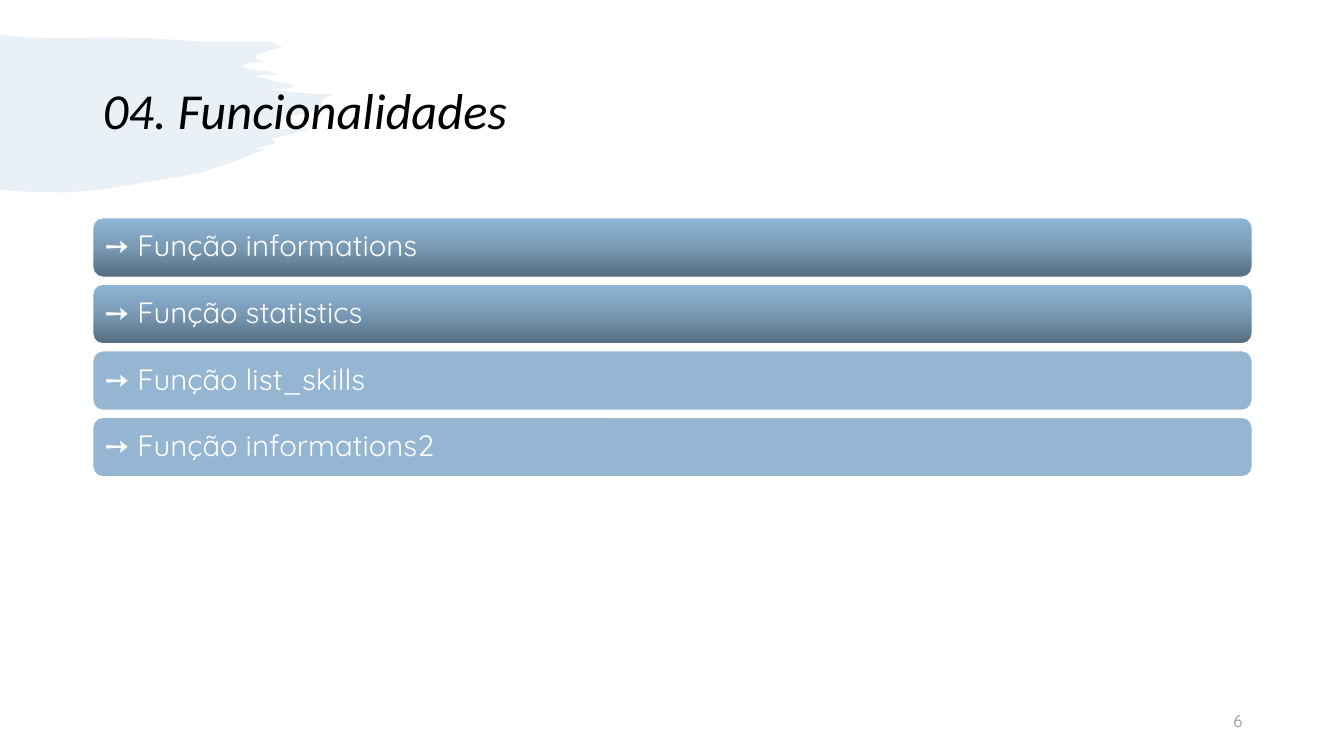
from copy import deepcopy
from dataclasses import dataclass

from lxml.etree import SubElement
from pptx import Presentation
from pptx.dml.color import RGBColor
from pptx.enum.shapes import MSO_SHAPE
from pptx.enum.text import MSO_ANCHOR, PP_ALIGN
from pptx.oxml.ns import qn
from pptx.util import Pt

PX = 9144

BRUSH = [
    (0, 34), (6, 35), (25, 37), (66, 38), (102, 37), (151, 38), (194, 41),
    (248, 41), (266, 41), (280, 47), (271, 49), (255, 54), (253, 57),
    (256, 59), (262, 62), (248, 62), (238, 66), (246, 68), (256, 70),
    (266, 71), (275, 74), (251, 75), (263, 78), (273, 81), (280, 82),
    (288, 83), (290, 85), (287, 88), (284, 88), (263, 88), (295, 92),
    (330, 94), (321, 97), (318, 106), (307, 111), (300, 113), (283, 116),
    (280, 120), (278, 125), (274, 128), (308, 128), (269, 138), (273, 142),
    (252, 148), (263, 148), (233, 160), (197, 172), (102, 188), (65, 191),
    (23, 190), (7, 189), (0, 188),
]
FUNCTIONS = ["informations", "statistics", "list_skills", "informations2"]
GRADIENT_BARS = 2


@dataclass(frozen=True)
class Theme:
    blue: str = "94B6D2"
    white: str = "FFFFFF"
    black: str = "000000"
    grey: str = "8C8C8C"
    gradient: tuple = ((0, "556C7F"), (0.5, "799AB5"), (1, "8FB6D7"))
    heading_font: str = "Calibri"
    body_font: str = "Quicksand"
    title_size: int = 36
    bar_size: int = 21
    number_size: int = 12


def assign(target, values):
    for name, value in values.items():
        setattr(target, name, value)


class SlideBuilder:
    def __init__(self, prs, theme):
        self.theme = theme
        self.s = prs.slides.add_slide(prs.slide_layouts[5])

    def set_text(self, sp, text, font, size, color, frame=None, para=None, italic=False):
        tf = sp.text_frame
        assign(tf, {"word_wrap": True, "vertical_anchor": MSO_ANCHOR.MIDDLE, **(frame or {})})
        p = tf.paragraphs[0]
        assign(p, {"alignment": PP_ALIGN.LEFT, **(para or {})})
        r = p.add_run()
        r.text = text
        assign(r.font, {"name": font, "size": Pt(size), "italic": italic})
        r.font.color.rgb = RGBColor.from_string(color)

    def brush(self, points, opacity):
        builder = self.s.shapes.build_freeform(*points[0], scale=PX)
        builder.add_line_segments(points[1:], close=True)
        sp = builder.convert_to_shape()
        sp.shadow.inherit = False
        sp.fill.solid()
        sp.fill.fore_color.rgb = RGBColor.from_string(self.theme.blue)
        sp.line.fill.background()
        color = sp._element.spPr.find(qn("a:solidFill"))[0]
        SubElement(color, qn("a:alpha"), val=str(opacity * 1000))
        self.s.shapes._spTree.insert(2, sp._element)

    def title(self, text, x, y, w, h):
        t = self.theme
        sp = self.s.shapes.title
        assign(sp, {"left": x * PX, "top": y * PX, "width": w * PX, "height": h * PX})
        self.set_text(sp, text, t.heading_font, t.title_size, t.black,
                      para={"line_spacing": 0.9}, italic=True)

    def number(self, text, x, y, w, h):
        t = self.theme
        sp = self.s.shapes.add_textbox(x * PX, y * PX, w * PX, h * PX)
        self.set_text(sp, text, t.body_font, t.number_size, t.grey,
                      para={"alignment": PP_ALIGN.RIGHT, "space_after": Pt(6)})

    def shade(self, sp):
        sp.fill.gradient()
        sp.fill.gradient_angle = 90
        stops = sp._element.spPr.find(qn("a:gradFill")).find(qn("a:gsLst"))
        stops.append(deepcopy(stops[0]))
        for stop, (position, color) in zip(sp.fill.gradient_stops, self.theme.gradient):
            stop.position = position
            stop.color.rgb = RGBColor.from_string(color)

    def bar(self, text, x, y, w, h, shaded):
        t = self.theme
        sp = self.s.shapes.add_shape(MSO_SHAPE.ROUNDED_RECTANGLE, x * PX, y * PX, w * PX, h * PX)
        sp.shadow.inherit = False
        if shaded:
            self.shade(sp)
        else:
            sp.fill.solid()
            sp.fill.fore_color.rgb = RGBColor.from_string(t.blue)
        sp.line.color.rgb = RGBColor.from_string(t.white)
        sp.line.width = Pt(1)
        self.set_text(sp, text, t.body_font, t.bar_size, t.white,
                      frame={"margin_left": 9 * PX, "margin_right": 9 * PX},
                      para={"line_spacing": 0.9})


def main():
    prs = Presentation()
    assign(prs, {"slide_width": 1333 * PX, "slide_height": 750 * PX})
    slide = SlideBuilder(prs, Theme())
    slide.brush(BRUSH, opacity=20)
    slide.title("04. Funcionalidades", 92, 40, 1150, 145)
    for i, name in enumerate(FUNCTIONS):
        slide.bar(f"➙ Função {name}", 92, 216 + 66 * i, 1150, 59, i < GRADIENT_BARS)
    slide.number("6", 942, 695, 300, 40)
    prs.save("out.pptx")


if __name__ == "__main__":
    main()
